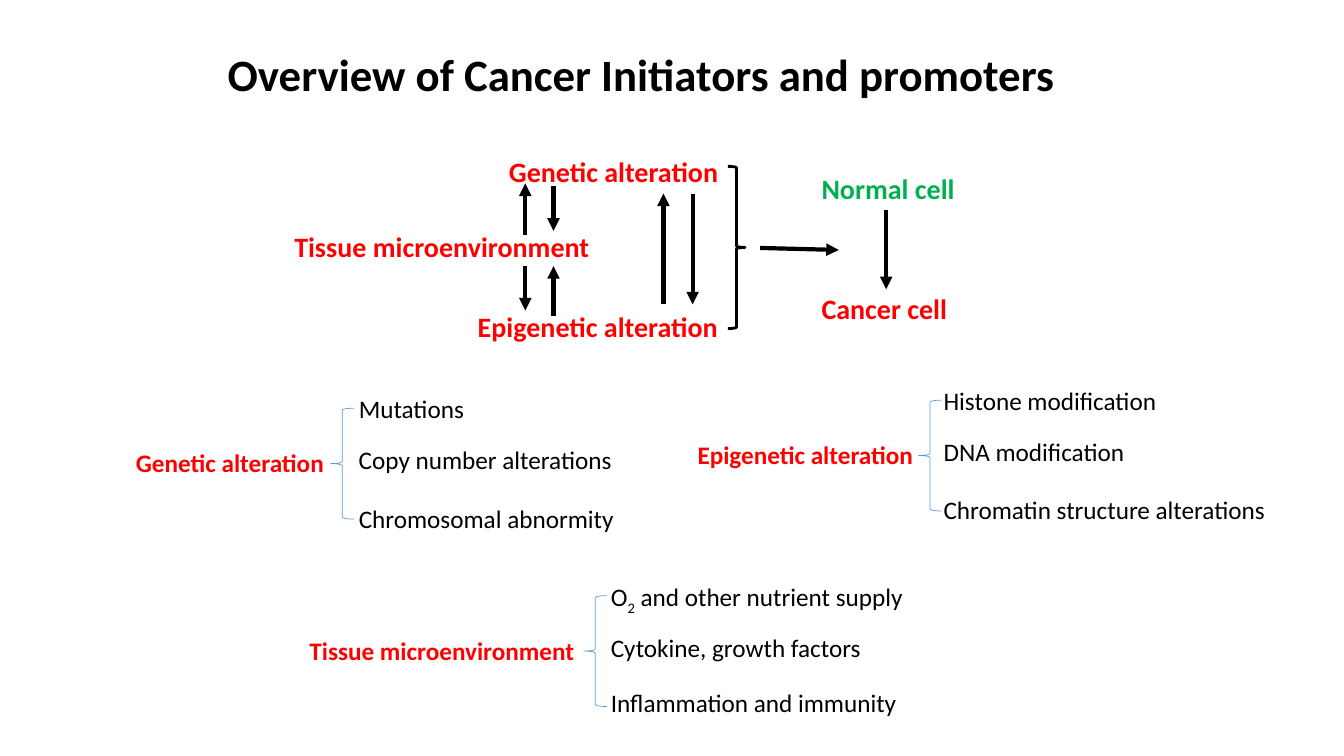
from lxml import etree
from pptx import Presentation
from pptx.dml.color import RGBColor
from pptx.enum.shapes import MSO_CONNECTOR, MSO_SHAPE
from pptx.enum.text import MSO_AUTO_SIZE
from pptx.oxml.ns import qn
from pptx.util import Inches, Pt

BLACK = RGBColor(0x00, 0x00, 0x00)
RED = RGBColor(0xFF, 0x00, 0x00)
GREEN = RGBColor(0x00, 0xB0, 0x50)
BLUE = RGBColor(0x5B, 0x9B, 0xD5)
STRAIGHT = MSO_CONNECTOR.STRAIGHT
LEFT_BRACE = MSO_SHAPE.LEFT_BRACE
RIGHT_BRACE = MSO_SHAPE.RIGHT_BRACE
FIT_SHAPE = MSO_AUTO_SIZE.SHAPE_TO_FIT_TEXT

FONT = "Calibri"
BOX_HEIGHTS = {18: 4, 20: 4.4, 32: 6.4}
BRACE_WIDTH, BRACE_HEIGHT = 2.3, 11

# text, left, top, width, colour
FLOW_LABELS = [
    ("Genetic alteration", 49.5, 14.8, 23.6, RED),
    ("Epigenetic alteration", 46.4, 30.2, 26.7, RED),
    ("Tissue microenvironment", 28.2, 22.3, 31.5, RED),
    ("Normal cell", 80.5, 16.5, 15.3, GREEN),
    ("Cancer cell", 80.5, 28.4, 14.6, RED),
]

# column, start row, end row
VERTICAL_ARROWS = [
    (52.1, 23.3, 18.2),
    (54.9, 18.5, 22.9),
    (52.1, 26.4, 30.8),
    (54.9, 31.4, 26.4),
    (65.8, 30.2, 19.2),
    (68.7, 19.2, 30.2),
    (87.9, 20.8, 28.7),
]

# label, (left, width), brace left, brace top, items left, items (text, row below brace top, width)
FACTOR_GROUPS = [
    ("Genetic alteration", (12.5, 20.8), 32.8, 40.5, 34.6, [
        ("Mutations", -2, 13.2),
        ("Copy number alterations", 3.1, 27.4),
        ("Chromosomal abnormity", 8.9, 28.8)]),
    ("Epigenetic alteration", (68.2, 23.6), 91.1, 39.7, 92.6, [
        ("Histone modification", -2, 23.4),
        ("DNA modification", 3.1, 20.2),
        ("Chromatin structure alterations", 8.9, 34.3)]),
    ("Tissue microenvironment", (29.7, 28.5), 57.9, 59.1, 59.6, [
        (("O", "2", " and other nutrient supply"), -1.9, 31.9),
        ("Cytokine, growth factors", 3.1, 27.1),
        ("Inflammation and immunity", 8.6, 30.7)]),
]


def grid(count):
    """Length of a number of grid columns or rows, ten to the inch."""
    return Inches(count / 10)


def add_label(slide, text, left, top, width, size, color=BLACK, bold=False):
    """Add one line of text; in a tuple of parts every second part is a subscript."""
    box = slide.shapes.add_textbox(grid(left), grid(top), grid(width), grid(BOX_HEIGHTS[size]))
    frame = box.text_frame
    frame.word_wrap = False
    frame.auto_size = FIT_SHAPE
    parts = (text,) if isinstance(text, str) else text
    for index, part in enumerate(parts):
        run = frame.paragraphs[0].add_run()
        run.text = part
        run.font.name = FONT
        run.font.size = Pt(size)
        run.font.bold = bold
        run.font.color.rgb = color
        if index % 2:
            run.font._element.set("baseline", "-25000")


def add_brace(slide, kind, left, top, width, height, color, weight):
    brace = slide.shapes.add_shape(kind, grid(left), grid(top), grid(width), grid(height))
    brace.shadow.inherit = False
    brace.fill.background()
    brace.line.color.rgb = color
    brace.line.width = Pt(weight)


def add_arrow(slide, start_column, start_row, end_column, end_row):
    arrow = slide.shapes.add_connector(
        STRAIGHT, grid(start_column), grid(start_row), grid(end_column), grid(end_row))
    arrow.line.color.rgb = BLACK
    arrow.line.width = Pt(3)
    etree.SubElement(arrow.line._get_or_add_ln(), qn("a:tailEnd"), type="triangle")
    etree.SubElement(arrow._element.spPr, qn("a:effectLst"))


def add_factor_group(slide, label, label_span, brace_left, top, items_left, items):
    """Add a red label, a brace and the factors that the brace gathers."""
    left, width = label_span
    add_label(slide, label, left, top + 3.4, width, 18, RED, bold=True)
    add_brace(slide, LEFT_BRACE, brace_left, top, BRACE_WIDTH, BRACE_HEIGHT, BLUE, 0.5)
    for text, offset, item_width in items:
        add_label(slide, text, items_left, top + offset, item_width, 18)


def main():
    presentation = Presentation()
    presentation.slide_width = Inches(13.33)
    presentation.slide_height = Inches(7.5)
    slide = presentation.slides.add_slide(presentation.slide_layouts[6])

    add_label(slide, "Overview of Cancer Initiators and promoters", 21.6, 4.1, 86.4, 32, bold=True)
    for text, left, top, width, color in FLOW_LABELS:
        add_label(slide, text, left, top, width, 20, color, bold=True)
    add_brace(slide, RIGHT_BRACE, 72.2, 16.5, 1.7, 16.1, BLACK, 2)
    add_arrow(slide, 75.4, 24.6, 83.2, 24.8)
    for column, start_row, end_row in VERTICAL_ARROWS:
        add_arrow(slide, column, start_row, column, end_row)
    for group in FACTOR_GROUPS:
        add_factor_group(slide, *group)

    presentation.save("out.pptx")


if __name__ == "__main__":
    main()
